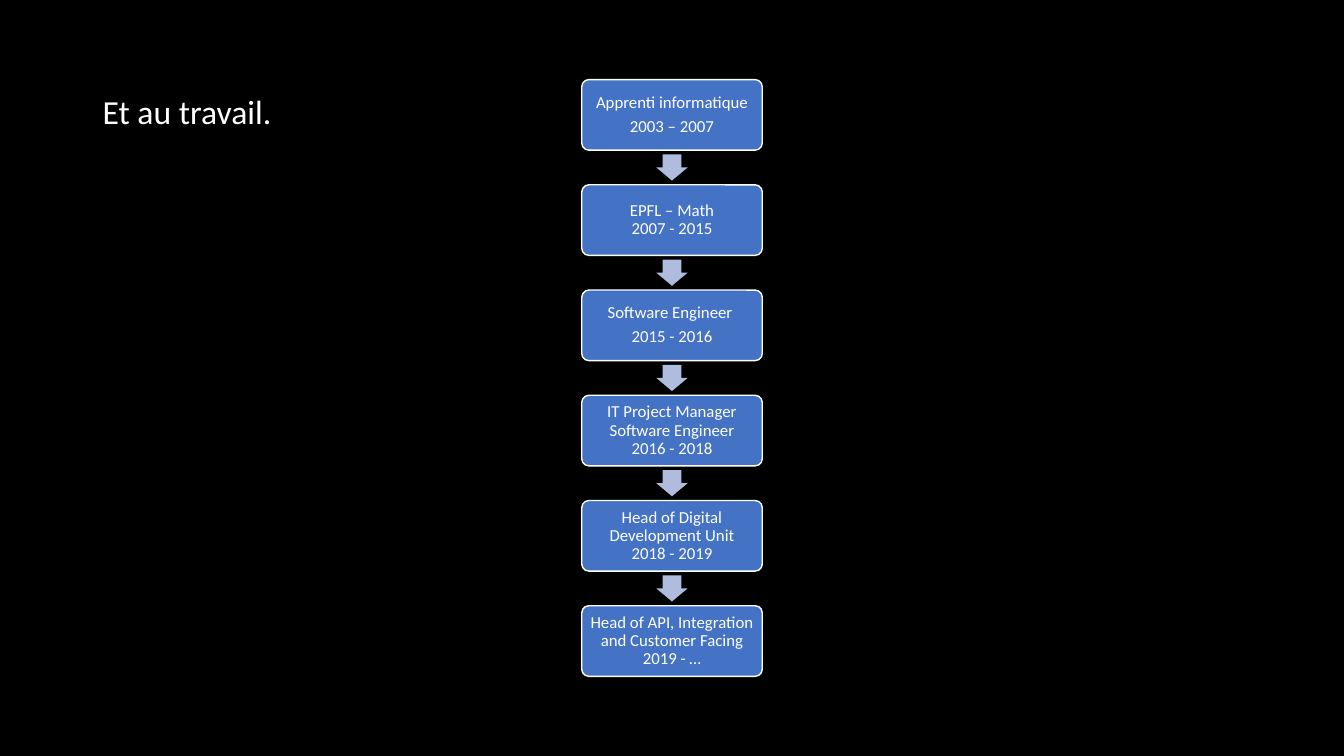
"""Build a slide with a career path as a vertical chain of steps."""
from pptx import Presentation
from pptx.dml.color import RGBColor
from pptx.enum.shapes import MSO_SHAPE
from pptx.enum.text import MSO_ANCHOR, PP_ALIGN
from pptx.util import Inches, Pt

COLORS = {"back": "000000", "box": "4472C4", "arrow": "B0BCDE", "text": "FFFFFF"}
WIDTH, HEIGHT = 13.33, 7.5
TOP, LAST = 0.79, 6.01
BOX_W, BOX_H = 1.79, 0.7
ARROW_W, ARROW_H = 0.31, 0.26
STEPS = [
    [["Apprenti informatique"], ["2003 – 2007"]],
    [["EPFL – Math", "2007 - 2015"]],
    [["Software Engineer "], ["2015 - 2016"]],
    [["IT Project Manager", "Software Engineer", "2016 - 2018"]],
    [["Head of Digital Development Unit", "2018 - 2019"]],
    [["Head of API, Integration and Customer Facing", "2019 - …"]],
]
PITCH = (LAST - TOP) / (len(STEPS) - 1)


def color(name):
    """Return a named colour of the palette."""
    return RGBColor.from_string(COLORS[name])


def write(shape, paras, size, align, inset):
    """Fill a shape with paragraphs, each a list of lines."""
    frame = shape.text_frame
    frame.word_wrap = True
    frame.vertical_anchor = MSO_ANCHOR.MIDDLE
    frame.margin_left = frame.margin_right = Inches(inset)
    frame.margin_top = frame.margin_bottom = Inches(0.05)
    for i, lines in enumerate(paras):
        para = frame.add_paragraph() if i else frame.paragraphs[0]
        para.alignment = align
        para.line_spacing = 0.9
        if i:
            para.space_before = Pt(0.35 * size)
        for j, line in enumerate(lines):
            if j:
                para.add_line_break()
            run = para.add_run()
            run.text = line
            run.font.name = "Calibri"
            run.font.size = Pt(size)
            run.font.color.rgb = color("text")


def add_form(slide, kind, top, width, height, fill):
    """Add a filled shape centred across the slide."""
    left = (WIDTH - width) / 2
    shape = slide.shapes.add_shape(
        kind, Inches(left), Inches(top), Inches(width), Inches(height))
    shape.shadow.inherit = False
    shape.fill.solid()
    shape.fill.fore_color.rgb = color(fill)
    return shape


def add_step(slide, top, paras):
    """Add one rounded box of the chain."""
    box = add_form(slide, MSO_SHAPE.ROUNDED_RECTANGLE, top, BOX_W, BOX_H, "box")
    box.adjustments[0] = 0.1
    box.line.color.rgb = color("text")
    box.line.width = Pt(1)
    write(box, paras, 12, PP_ALIGN.CENTER, 0.05)


def add_arrow(slide, top):
    """Add a block arrow in the gap that starts at top."""
    top += (PITCH - BOX_H - ARROW_H) / 2
    arrow = add_form(slide, MSO_SHAPE.DOWN_ARROW, top, ARROW_W, ARROW_H, "arrow")
    arrow.adjustments[0] = 0.6
    arrow.adjustments[1] = 0.5
    arrow.line.fill.background()


def add_title(slide, text):
    """Add the slide's heading."""
    box = slide.shapes.add_textbox(
        Inches(0.92), Inches(0.4), Inches(11.5), Inches(1.45))
    write(box, [[text]], 24, PP_ALIGN.LEFT, 0.1)


def main():
    """Build and save the slide."""
    deck = Presentation()
    deck.slide_width, deck.slide_height = Inches(WIDTH), Inches(HEIGHT)
    slide = deck.slides.add_slide(deck.slide_layouts[6])
    slide.background.fill.solid()
    slide.background.fill.fore_color.rgb = color("back")
    add_title(slide, "Et au travail.")
    for i, paras in enumerate(STEPS):
        top = TOP + i * PITCH
        if i:
            add_arrow(slide, top - PITCH + BOX_H)
        add_step(slide, top, paras)
    deck.save("out.pptx")


if __name__ == "__main__":
    main()
